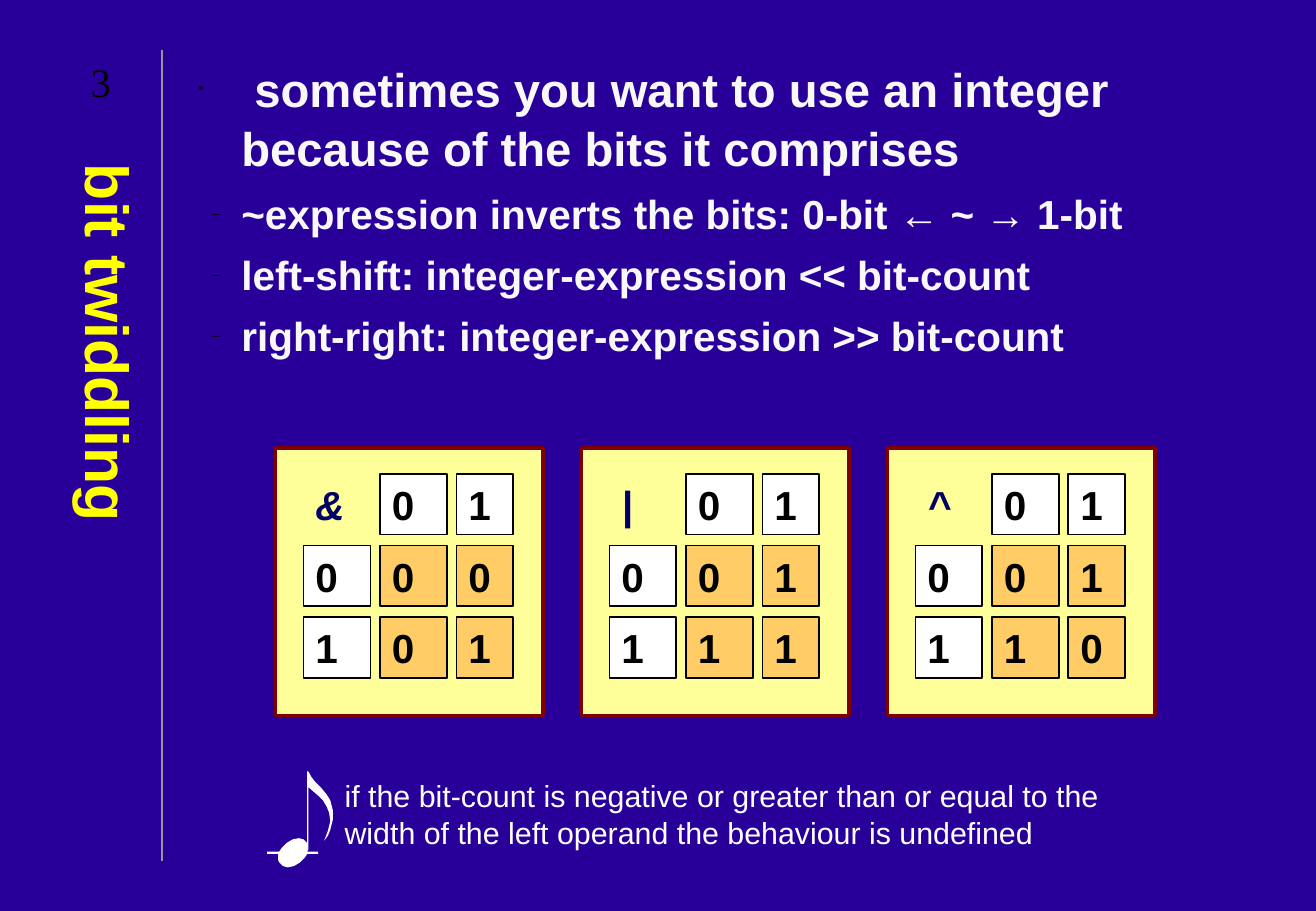
from lxml.etree import SubElement
from pptx import Presentation
from pptx.dml.color import RGBColor
from pptx.enum.shapes import MSO_CONNECTOR, MSO_SHAPE
from pptx.enum.text import MSO_ANCHOR, PP_ALIGN
from pptx.oxml.ns import qn
from pptx.util import Cm, Pt

BULLETS = [
    ("•", " sometimes you want to use an integer because of the bits it comprises", 28, 7, 32, 0.9),
    ("–", "~expression inverts the bits: 0-bit ← ~ → 1-bit", 24, 6, 37, 0.6),
    ("–", "left-shift: integer-expression << bit-count", 24, 6, 37, 0.6),
    ("–", "right-right: integer-expression >> bit-count", 24, 6, 37, 0.6),
]
TRUTH_TABLES = [
    ("&", ["00", "01"]),
    ("|", ["01", "11"]),
    ("^", ["01", "10"]),
]
COLUMN_WIDTHS = [1.4, 1.4, 1.19]
NOTE_OUTLINE = [
    (10, 75), (9, 73), (9, 68), (0, 68), (0, 66), (10, 66), (12, 63), (16, 59),
    (21, 56), (26, 55), (30, 56), (33, 59), (33, 0), (34, 0), (36, 4), (39, 8),
    (44, 13), (49, 19), (52, 24), (54, 32), (54, 40), (52, 48), (50, 53), (47, 57),
    (50, 49), (52, 41), (51, 34), (49, 29), (46, 24), (42, 20), (34, 13), (34, 64),
    (33, 66), (42, 66), (42, 68), (33, 68), (31, 71), (27, 75), (22, 78), (17, 79),
    (13, 78),
]


def colour(value):
    """Turn a hex string into a colour."""
    return RGBColor.from_string(value)


def add_run(paragraph, text, size, value, bold=False, italic=False, font="Arial"):
    """Add one formatted run to a paragraph."""
    run = paragraph.add_run()
    run.text = text
    run.font.name = font
    run.font.size = Pt(size)
    run.font.bold = bold
    run.font.italic = italic
    run.font.color.rgb = colour(value)


def add_text_box(slide, left, top, width, height):
    """Add an empty wrapping text box and return its text frame."""
    frame = slide.shapes.add_textbox(Cm(left), Cm(top), Cm(width), Cm(height)).text_frame
    frame.word_wrap = True
    return frame


def add_rectangle(slide, left, top, width, height, fill, outline, weight):
    """Add a flat outlined rectangle."""
    rectangle = slide.shapes.add_shape(
        MSO_SHAPE.RECTANGLE, Cm(left), Cm(top), Cm(width), Cm(height))
    rectangle.shadow.inherit = False
    rectangle.fill.solid()
    rectangle.fill.fore_color.rgb = colour(fill)
    rectangle.line.color.rgb = colour(outline)
    rectangle.line.width = Pt(weight)
    return rectangle


def add_divider(slide):
    """Draw the thin rule beside the title."""
    divider = slide.shapes.add_connector(
        MSO_CONNECTOR.STRAIGHT, Cm(3.39), Cm(18.01), Cm(3.39), Cm(1.04))
    divider.line.color.rgb = colour("969696")
    divider.line.width = Pt(0.75)
    SubElement(divider.line._get_or_add_ln().getparent(), qn("a:effectLst"))


def add_title(slide, text):
    """Write the title downwards along the left edge."""
    title = add_text_box(slide, 0.84, 3.18, 2.34, 14.81)
    title.margin_left = title.margin_right = Cm(0.13)
    title.margin_top = title.margin_bottom = Cm(0.25)
    title._txBody.bodyPr.set("vert", "eaVert")
    title.paragraphs[0].alignment = PP_ALIGN.CENTER
    add_run(title.paragraphs[0], text, 36, "FFFF00", bold=True)


def add_bullets(slide):
    """Write the bulleted points."""
    body = add_text_box(slide, 3.61, 1.07, 22.66, 9)
    for index, (mark, text, size, space, percent, hanging) in enumerate(BULLETS):
        paragraph = body.add_paragraph() if index else body.paragraphs[0]
        paragraph.space_before = Pt(space)
        paragraph.line_spacing = 1.05
        properties = paragraph._p.get_or_add_pPr()
        properties.set("marL", str(Cm(1.19)))
        properties.set("indent", str(-Cm(hanging)))
        SubElement(SubElement(properties, qn("a:buClr")), qn("a:srgbClr"), val="000000")
        SubElement(properties, qn("a:buSzPct"), val=str(percent * 1000))
        SubElement(properties, qn("a:buFont"), typeface="Times New Roman")
        SubElement(properties, qn("a:buChar"), char=mark)
        add_run(paragraph, text, size, "F8F8F8", bold=True)


def add_truth_table(slide, left, operator, results):
    """Draw a panel with an operator, its operands and the results."""
    top = 9.37
    add_rectangle(slide, left, top, 5.59, 5.59, "FFFF99", "800000", 2)
    rows = [operator + "01", "0" + results[0], "1" + results[1]]
    for row, symbols in enumerate(rows):
        for column, symbol in enumerate(symbols):
            place = (left + 0.58 + 1.6 * column, top + 0.54 + 1.5 * row,
                     COLUMN_WIDTHS[column], 1.27)
            if row == column == 0:
                add_run(add_text_box(slide, *place).paragraphs[0], symbol, 24,
                        "000066", bold=True, italic=True)
                continue
            fill = "FFCC66" if row and column else "FFFFFF"
            frame = add_rectangle(slide, *place, fill, "000000", 1).text_frame
            frame.vertical_anchor = MSO_ANCHOR.TOP
            frame.paragraphs[0].alignment = PP_ALIGN.LEFT
            add_run(frame.paragraphs[0], symbol, 24, "000000", bold=True)


def add_music_note(slide):
    """Draw the quaver that marks the remark."""
    builder = slide.shapes.build_freeform(*NOTE_OUTLINE[0], scale=Cm(2.54) / 100)
    builder.add_line_segments(NOTE_OUTLINE[1:], close=True)
    note = builder.convert_to_shape(Cm(5.59), Cm(16.13))
    note.shadow.inherit = False
    note.fill.solid()
    note.fill.fore_color.rgb = colour("FFFFFF")
    note.line.fill.background()


def add_remark(slide, text):
    """Write the remark at the foot of the slide."""
    remark = add_text_box(slide, 6.96, 16.13, 17.81, 1.78)
    add_run(remark.paragraphs[0], text, 18, "FFFFFF")


def add_slide_number(slide, text):
    """Write the slide number in the top left corner."""
    number = add_text_box(slide, 1.07, 1.07, 2.08, 1.27)
    number.vertical_anchor = MSO_ANCHOR.MIDDLE
    number.paragraphs[0].alignment = PP_ALIGN.CENTER
    add_run(number.paragraphs[0], text, 24, "000000", font="Times New Roman")


def main():
    """Build and save the slide."""
    presentation = Presentation()
    presentation.slide_width = Cm(27.53)
    presentation.slide_height = Cm(19.05)
    slide = presentation.slides.add_slide(presentation.slide_layouts[6])
    slide.background.fill.solid()
    slide.background.fill.fore_color.rgb = colour("280099")
    add_divider(slide)
    add_title(slide, "bit twiddling")
    add_bullets(slide)
    for index, (operator, results) in enumerate(TRUTH_TABLES):
        add_truth_table(slide, 5.77 + 6.4 * index, operator, results)
    add_remark(slide, "if the bit-count is negative or greater than or equal to the "
                      "width of the left operand the behaviour is undefined")
    add_music_note(slide)
    add_slide_number(slide, "3")
    presentation.save("out.pptx")


if __name__ == "__main__":
    main()
